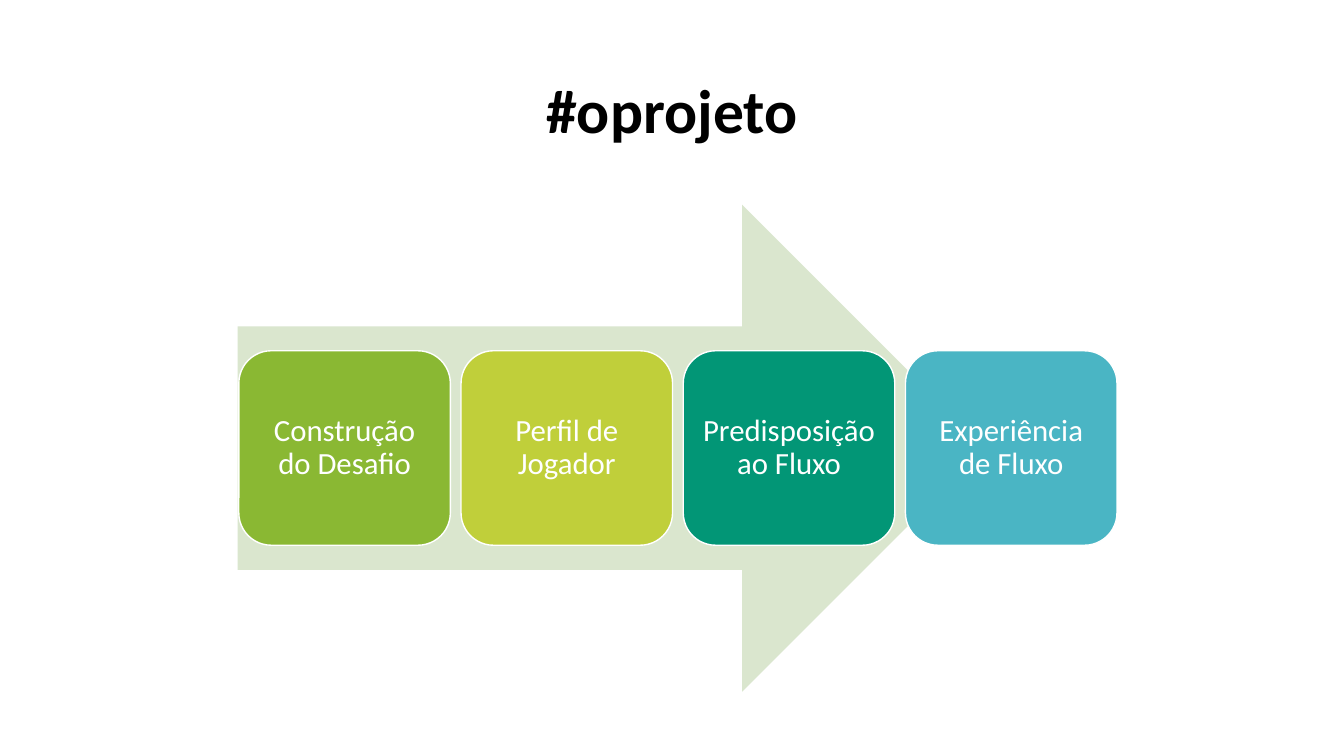
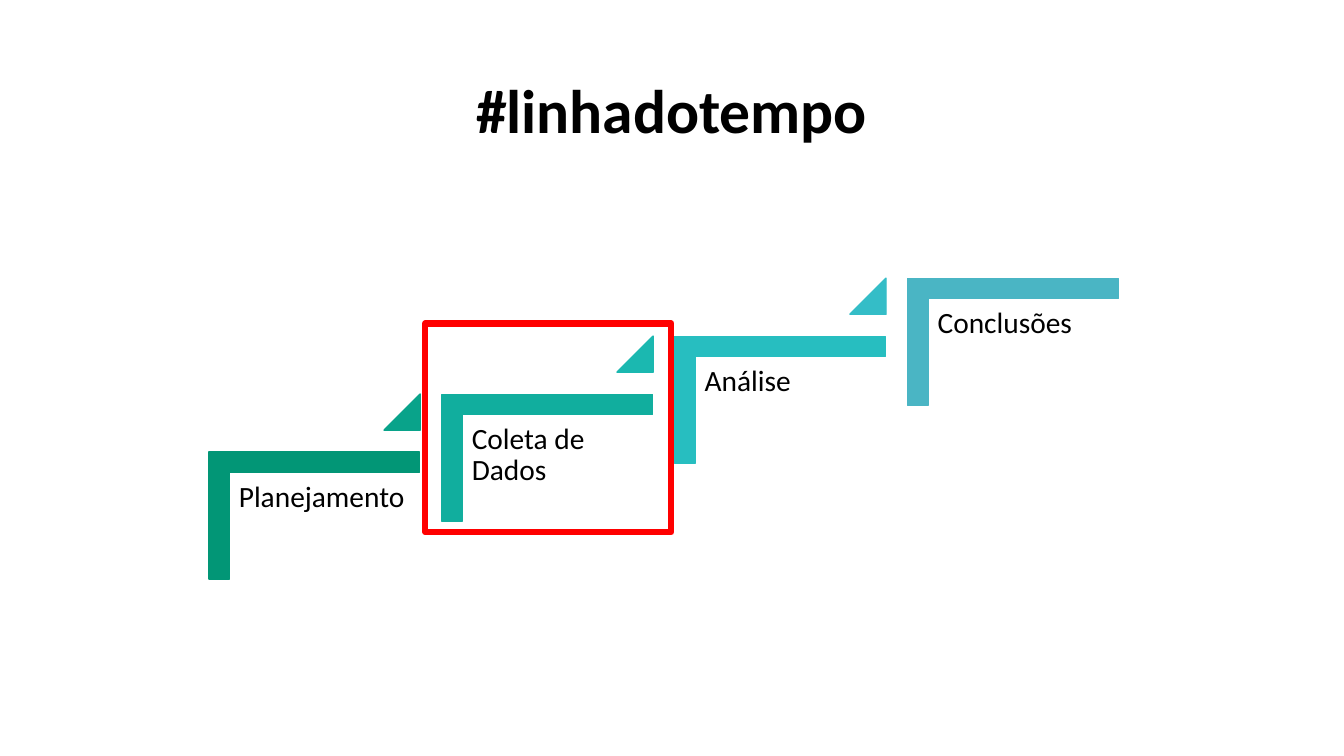
import pptx
import pptx.util
import pptx.dml.color
import pptx.enum.shapes
import pptx.enum.text

Cm = pptx.util.Cm
Pt = pptx.util.Pt
RGB = pptx.dml.color.RGBColor
Shape = pptx.enum.shapes.MSO_SHAPE
Align = pptx.enum.text.PP_ALIGN
Anchor = pptx.enum.text.MSO_ANCHOR

FONT = "Calibri"
BLACK = RGB(0x00, 0x00, 0x00)
WHITE = RGB(0xFF, 0xFF, 0xFF)
RED = RGB(0xFF, 0x00, 0x00)
PALE = RGB(0xDA, 0xE6, 0xCE)
GREEN = RGB(0x8A, 0xB8, 0x33)
LIME = RGB(0xC0, 0xCF, 0x3A)
TEAL = RGB(0x02, 0x96, 0x76)
BLUE = RGB(0x4A, 0xB5, 0xC4)
STEP_2 = RGB(0x11, 0xAE, 0x9E)
STEP_3 = RGB(0x27, 0xBE, 0xC0)
MARK_1 = RGB(0x09, 0xA3, 0x8A)
MARK_2 = RGB(0x1B, 0xB8, 0xB0)
MARK_3 = RGB(0x34, 0xBD, 0xC7)


def draw(slide, kind, left, top, width, height, fill=None, line=None, weight=1):
    """Add a flat preset shape, with lengths in cm; None means no fill or line."""
    shape = slide.shapes.add_shape(kind, Cm(left), Cm(top), Cm(width), Cm(height))
    shape.shadow.inherit = False
    for part, color in ((shape.fill, fill), (shape.line.fill, line)):
        if color is None:
            part.background()
        else:
            part.solid()
            part.fore_color.rgb = color
    if line is not None:
        shape.line.width = Pt(weight)
    return shape


def write(shape, text, size, color, align, anchor, inset, bold=False):
    """Put one formatted run in the shape, with an equal inset in cm."""
    frame = shape.text_frame
    frame.word_wrap = True
    frame.auto_size = pptx.enum.text.MSO_AUTO_SIZE.NONE
    frame.vertical_anchor = anchor
    frame.margin_left = frame.margin_right = Cm(inset)
    frame.margin_top = frame.margin_bottom = Cm(inset)
    para = frame.paragraphs[0]
    para.alignment = align
    para.line_spacing = 0.9
    run = para.add_run()
    run.text = text
    run.font.name = FONT
    run.font.size = Pt(size)
    run.font.bold = bold
    run.font.color.rgb = color


deck = pptx.Presentation()
deck.slide_width = Cm(33.87)
deck.slide_height = Cm(19.05)

slides = []
for name in ("#oprojeto", "#linhadotempo"):
    slide = deck.slides.add_slide(deck.slide_layouts[5])
    title = slide.shapes.title
    title.left, title.top = Cm(2.33), Cm(1.01)
    title.width, title.height = Cm(29.21), Cm(3.68)
    write(title, name, 44, BLACK, Align.CENTER, Anchor.MIDDLE, 0.2, bold=True)
    slides.append(slide)
project, timeline = slides

# Project: four phases along an arrow
draw(project, Shape.RIGHT_ARROW, 5.99, 5.16, 18.85, 12.27, PALE)
phases = (
    ("Construção do Desafio", GREEN),
    ("Perfil de Jogador", LIME),
    ("Predisposição ao Fluxo", TEAL),
    ("Experiência de Fluxo", BLUE),
)
for i, (text, color) in enumerate(phases):
    box = draw(project, Shape.ROUNDED_RECTANGLE, 6.02 + 5.6 * i, 8.84, 5.33, 4.9,
               color, WHITE)
    write(box, text, 22, WHITE, Align.CENTER, Anchor.MIDDLE, 0.23)

# Timeline: rising steps, each but the last followed by a triangle
steps = (
    ("Planejamento", TEAL, MARK_1),
    ("Coleta de Dados", STEP_2, MARK_2),
    ("Análise", STEP_3, MARK_3),
    ("Conclusões", BLUE, None),
)
for i, (text, color, mark) in enumerate(steps):
    dx, dy = 5.87 * i, 1.46 * i
    corner = draw(timeline, Shape.CORNER, 6.32 + dx, 10.34 - dy, 3.2, 5.31,
                  color, color)
    corner.rotation = 90
    corner.adjustments[0] = corner.adjustments[1] = 0.16
    label = timeline.shapes.add_textbox(Cm(5.79 + dx), Cm(11.91 - dy), Cm(4.8), Cm(4.19))
    write(label, text, 21, BLACK, Align.LEFT, Anchor.TOP, 0.23)
    if mark is not None:
        peak = draw(timeline, Shape.ISOSCELES_TRIANGLE, 9.68 + dx, 9.93 - dy, 0.91, 0.91,
                    mark, mark)
        peak.adjustments[0] = 1

draw(timeline, Shape.RECTANGLE, 10.72, 8.15, 6.2, 5.26, line=RED, weight=4.5)

deck.save("out.pptx")
